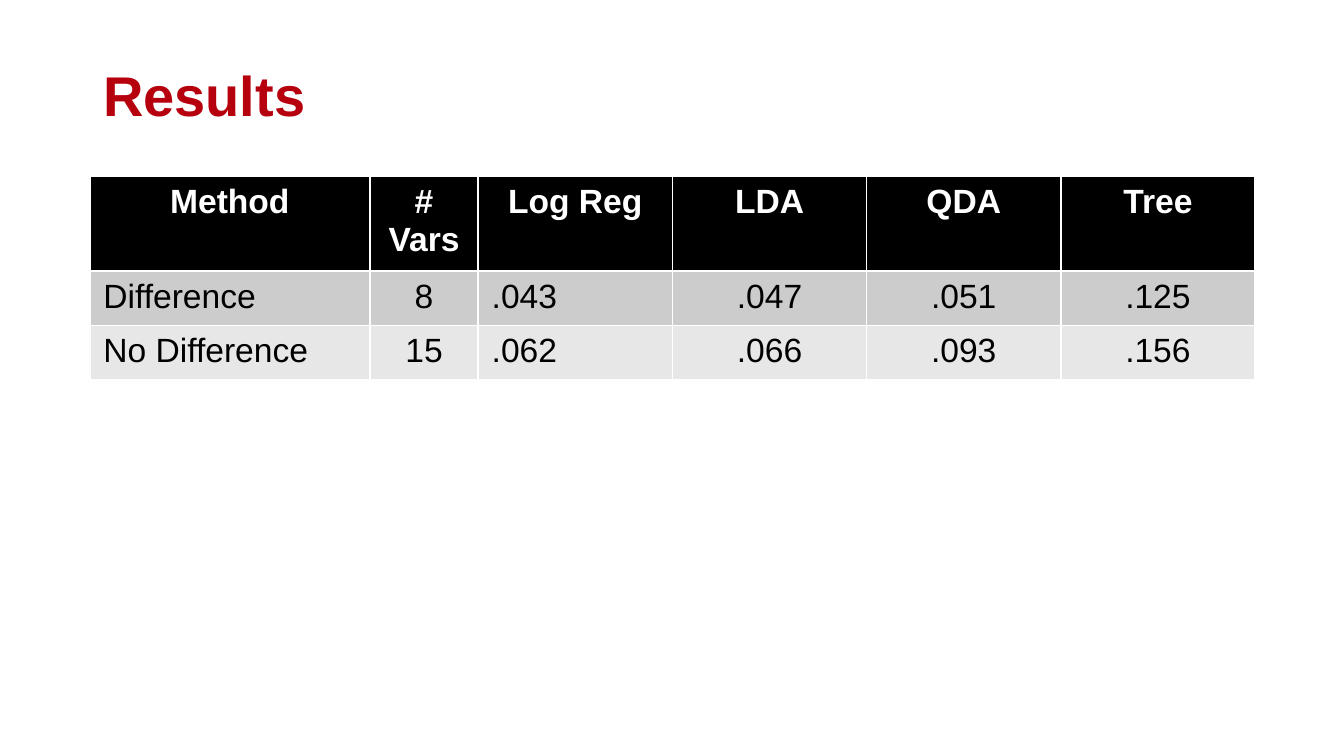
from dataclasses import dataclass

import pptx
import pptx.dml.color
import pptx.enum.text
import pptx.util

Cm = pptx.util.Cm
Color = pptx.dml.color.RGBColor
Align = pptx.enum.text.PP_ALIGN
Anchor = pptx.enum.text.MSO_ANCHOR

RED = Color(0xB6, 0x00, 0x0D)
BLACK = Color(0x00, 0x00, 0x00)
WHITE = Color(0xFF, 0xFF, 0xFF)
GREY = Color(0xCC, 0xCC, 0xCC)
PALE = Color(0xE7, 0xE7, 0xE7)

LEFT, WIDTH = Cm(1.7), Cm(22.02)
ROW = Cm(1.03)


@dataclass(frozen=True)
class Style:
    size: int
    ink: Color
    bold: bool


@dataclass(frozen=True)
class Row:
    texts: tuple[str, ...]
    aligns: str
    fill: Color
    style: Style


TITLE = Style(30, RED, True)
HEAD = Style(18, WHITE, True)
BODY = Style(18, BLACK, False)
SIDES = {"l": Align.LEFT, "c": Align.CENTER}
COLS = (Cm(5.29), Cm(2.05)) + (Cm(3.67),) * 4
ROWS = (
    Row(("Method", "# Vars", "Log Reg", "LDA", "QDA", "Tree"), "cccccc", BLACK, HEAD),
    Row(("Difference", "8", ".043", ".047", ".051", ".125"), "lclccc", GREY, BODY),
    Row(("No Difference", "15", ".062", ".066", ".093", ".156"), "lclccc", PALE, BODY),
)


def write(frame: pptx.text.text.TextFrame, text: str, style: Style, side: Align) -> None:
    para = frame.paragraphs[0]
    para.alignment = side
    run = para.add_run()
    run.text = text
    run.font.name = "Arial"
    run.font.size = pptx.util.Pt(style.size)
    run.font.bold = style.bold
    run.font.color.rgb = style.ink


def add_title(slide: pptx.slide.Slide, text: str) -> None:
    frame = slide.shapes.add_textbox(LEFT, Cm(0.58), WIDTH, Cm(2.39)).text_frame
    frame.word_wrap = True
    frame.vertical_anchor = Anchor.MIDDLE
    write(frame, text, TITLE, Align.LEFT)


def add_grid(slide: pptx.slide.Slide) -> None:
    grid = slide.shapes.add_table(
        len(ROWS), len(COLS), LEFT, Cm(3.34), WIDTH, ROW * len(ROWS)
    ).table
    for col, width in zip(grid.columns, COLS):
        col.width = width
    for line, row in zip(grid.rows, ROWS):
        line.height = ROW
        for cell, text, side in zip(line.cells, row.texts, row.aligns):
            cell.fill.solid()
            cell.fill.fore_color.rgb = row.fill
            write(cell.text_frame, text, row.style, SIDES[side])


def main() -> None:
    deck = pptx.Presentation()
    deck.slide_width, deck.slide_height = Cm(25.4), Cm(14.29)
    slide = deck.slides.add_slide(deck.slide_layouts[6])
    add_title(slide, "Results")
    add_grid(slide)
    deck.save("out.pptx")


if __name__ == "__main__":
    main()
